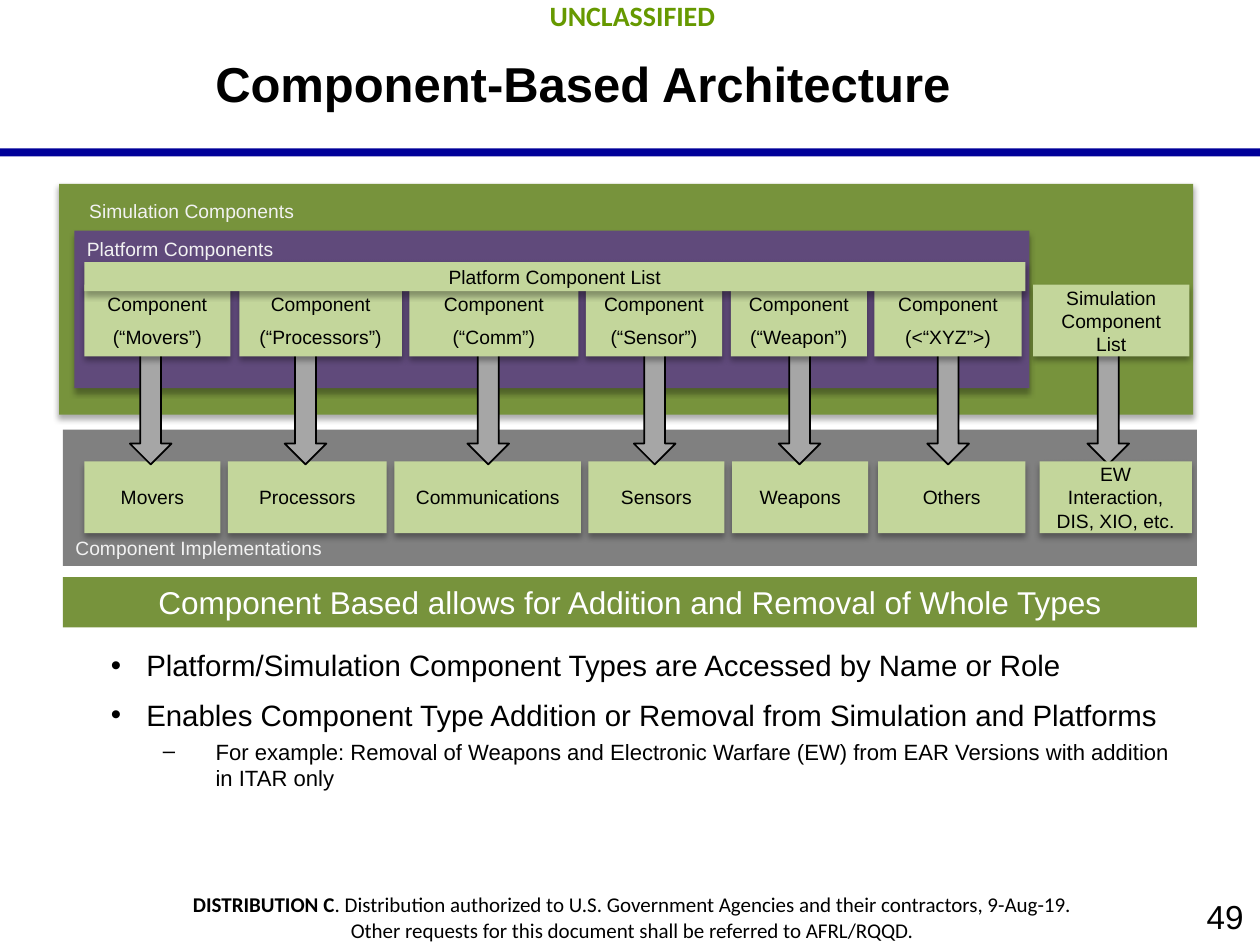
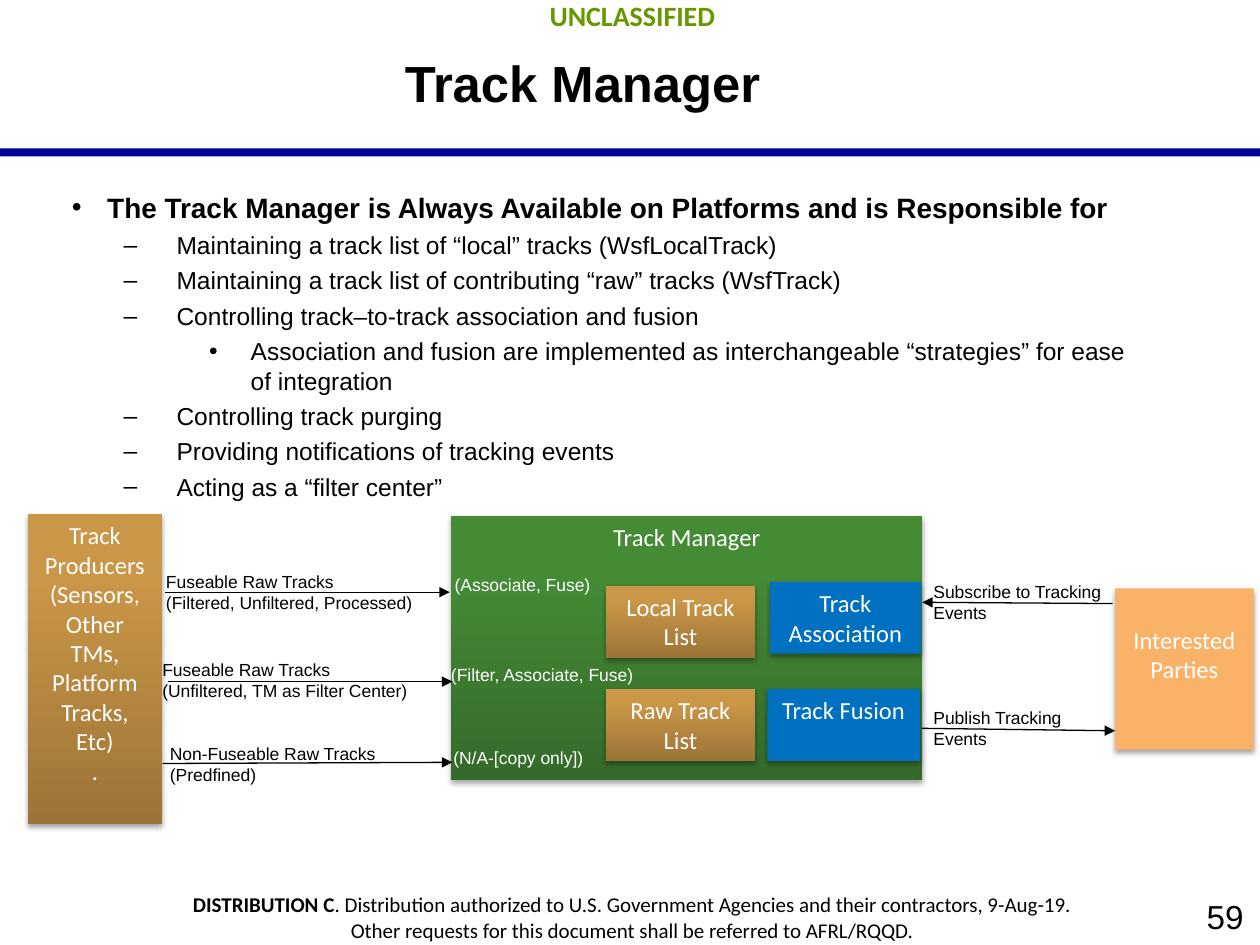
import pptx
import pptx.dml.color
import pptx.enum.dml
import pptx.enum.shapes
import pptx.enum.text
import pptx.oxml
import pptx.oxml.ns
import pptx.util

Pt = pptx.util.Pt
RGB = pptx.dml.color.RGBColor
KIND = pptx.enum.shapes.MSO_SHAPE
ALIGN = pptx.enum.text.PP_ALIGN
ANCHOR = pptx.enum.text.MSO_ANCHOR

BLACK = RGB(0, 0, 0)
WHITE = RGB(255, 255, 255)
PALE = RGB(0xF2, 0xF2, 0xF2)
NAVY = RGB(0, 0, 0x99)
MARK = RGB(0x66, 0x99, 0)
GRAY = RGB(0x80, 0x80, 0x80)
SILVER = RGB(0xA6, 0xA6, 0xA6)
OLIVE = RGB(0x77, 0x93, 0x3C)
LIME = RGB(0xC3, 0xD6, 0x9B)
PURPLE = RGB(0x60, 0x4A, 0x7B)
BLUE = RGB(0, 0x70, 0xC0)
PEACH = RGB(0xF9, 0xB2, 0x68)
GREEN = (RGB(0x35, 0x6B, 0x2A), RGB(0x45, 0x8B, 0x36))
BROWN = (RGB(0x9C, 0x74, 0x37), RGB(0xCA, 0x96, 0x47))

SANS = "Arial"
HUMAN = "Calibri"
WIDE = (9.4, 5, 9.4, 5)
SNUG = (7.2, 3.6, 7.2, 3.6)
SOFT = (32, 3.5, 2.2)
FIRM = (35, 3.1, 1.8)
LEVELS = (("•", 38.2, -20.2, 8), ("–", 77.8, -30.2, 3.4), ("•", 120.2, -23.8, 3.4))
TILE = {"size": 11, "tint": BLACK, "gap": 5.5}
HEAD = {"size": 11, "tint": PALE}
NOTE = {"size": 10, "tint": BLACK, "wrap": False}
CALL = {**NOTE, "wrap": True}
INNER = {**NOTE, "tint": WHITE}
BLOCK = {"size": 14, "tint": WHITE, "face": HUMAN, "anchor": ANCHOR.TOP}


def put(item, **values):
    for name, value in values.items():
        setattr(item, name, value)


def node(parent, xml):
    mark = xml.split(" ", 1)
    space = pptx.oxml.ns.nsdecls("a")
    parent.append(pptx.oxml.parse_xml(f"{mark[0]} {space} {mark[1]}"))


class Deck:
    def __init__(self):
        self.show = pptx.Presentation()
        put(self.show, slide_width=Pt(720), slide_height=Pt(540))
        self.slide = None

    def page(self, title, size, number):
        self.slide = self.show.slides.add_slide(self.show.slide_layouts[6])
        self.shape((0, 84.8, 720, 4.6), NAVY)
        center = {"align": ALIGN.CENTER, "pads": WIDE}
        self.text((576, 507.6, 144, 32.4), [number], size=19,
                  align=ALIGN.RIGHT, anchor=ANCHOR.MIDDLE, pads=WIDE)
        self.text((1.4, -5.8, 720, 28.8), ["UNCLASSIFIED"], size=16,
                  tint=MARK, face=HUMAN, bold=True, **center)
        self.text((0.7, 504.7, 721.4, 38.9), [
            (("DISTRIBUTION C", True),
             (". Distribution authorized to U.S. Government Agencies "
              "and their contractors, 9-Aug-19.", False)),
            "Other requests for this document shall be referred to AFRL/RQQD.",
        ], size=12, face=HUMAN, **center)
        self.text((72, 2.2, 522, 90), [title], size=size, bold=True,
                  anchor=ANCHOR.MIDDLE, **center)

    def pour(self, frame, lines, size, tint=BLACK, face=SANS, bold=False,
             align=ALIGN.LEFT, anchor=ANCHOR.TOP, gap=0, pads=SNUG, wrap=True):
        left, top, right, bottom = map(Pt, pads)
        put(frame, word_wrap=wrap, vertical_anchor=anchor, margin_left=left,
            margin_top=top, margin_right=right, margin_bottom=bottom)
        for rank, line in enumerate(lines):
            para = frame.add_paragraph() if rank else frame.paragraphs[0]
            put(para, alignment=align, space_before=Pt(gap if rank else 0))
            parts = ((line, bold),) if isinstance(line, str) else line
            for words, heavy in parts:
                run = para.add_run()
                run.text = words
                put(run.font, size=Pt(size), name=face, bold=heavy)
                run.font.color.rgb = tint

    def text(self, box, lines, **style):
        frame = self.slide.shapes.add_textbox(*map(Pt, box)).text_frame
        self.pour(frame, lines, **style)

    def shape(self, box, fill, lines=(), kind=KIND.RECTANGLE, shade=None,
              edge=None, **style):
        item = self.slide.shapes.add_shape(kind, *map(Pt, box))
        item.shadow.inherit = False
        if isinstance(fill, tuple) and not isinstance(fill, RGB):
            item.fill.gradient()
            item.fill.gradient_angle = 90
            for stop, tint, place in zip(item.fill.gradient_stops, fill, (0, 0.8)):
                stop.color.rgb = tint
                stop.position = place
        else:
            item.fill.solid()
            item.fill.fore_color.rgb = fill
        if edge is None:
            item.line.fill.background()
        else:
            item.line.color.rgb = edge
            item.line.width = Pt(1)
        if shade:
            alpha, blur, reach = shade
            effects = item._element.spPr.find(pptx.oxml.ns.qn("a:effectLst"))
            node(effects, f'<a:outerShdw blurRad="{Pt(blur)}" dist="{Pt(reach)}" '
                 f'dir="5400000" rotWithShape="0"><a:srgbClr val="{BLACK}">'
                 f'<a:alpha val="{alpha * 1000}"/></a:srgbClr></a:outerShdw>')
        if lines:
            style = {"align": ALIGN.CENTER, "anchor": ANCHOR.MIDDLE, **style}
            self.pour(item.text_frame, lines, **style)

    def list(self, box, items, sizes, lead=None):
        frame = self.slide.shapes.add_textbox(*map(Pt, box)).text_frame
        self.pour(frame, [words for _, words in items], sizes[0], pads=WIDE)
        for rank, (para, (level, _)) in enumerate(zip(frame.paragraphs, items)):
            sign, left, hang, gap = LEVELS[level]
            props = para._p.get_or_add_pPr()
            props.set("marL", str(Pt(left)))
            props.set("indent", str(Pt(hang)))
            node(props, f'<a:buFont typeface="{SANS}"/>')
            node(props, f'<a:buChar char="{sign}"/>')
            put(para, level=level, space_before=Pt(gap if rank else 0))
            put(para.runs[0].font, size=Pt(sizes[min(level, 1)]))
        if lead:
            frame.paragraphs[0].line_spacing = lead
            frame.paragraphs[0].runs[0].font.bold = True

    def arrow(self, *ends):
        line = self.slide.shapes.add_connector(
            pptx.enum.shapes.MSO_CONNECTOR.STRAIGHT, *map(Pt, ends))
        line.line.color.rgb = BLACK
        line.line.width = Pt(0.75)
        node(line.line._get_or_add_ln(), '<a:tailEnd type="triangle"/>')
        node(line._element.spPr, "<a:effectLst />")


def parts_page(deck):
    deck.page("Component-Based Architecture", 28, "49")
    deck.list((36, 365, 648, 117.4), [
        (0, "Platform/Simulation Component Types are Accessed by Name or Role"),
        (0, "Enables Component Type Addition or Removal from Simulation and Platforms"),
        (1, "For example: Removal of Weapons and Electronic Warfare (EW) "
            "from EAR Versions with addition in ITAR only"),
    ], (16.8, 12.6))
    deck.shape((36, 245.5, 648, 77.8), GRAY)
    deck.shape((33.8, 105.1, 648, 131.8), OLIVE, shade=SOFT)
    deck.shape((42.5, 131.8, 545.8, 90), PURPLE, shade=SOFT)
    deck.text((43.9, 110.2, 149.8, 20.9), ["Simulation Components"], **HEAD)
    deck.text((42.5, 131.8, 149.8, 20.9), ["Platform Components"], **HEAD)
    deck.text((36, 303.1, 180, 20.9), ["Component Implementations"], **HEAD)
    deck.shape((36, 329.8, 648, 28.8), OLIVE,
               ["Component Based allows for Addition and Removal of Whole Types"],
               size=18, tint=WHITE)

    lower = (("Movers", 48.2, 77.8), ("Processors", 130.3, 90.7),
             ("Communications", 225.4, 106.6), ("Sensors", 336.2, 77.8),
             ("Weapons", 418.3, 77.8), ("Others", 501.8, 84.2))
    upper = (("“Movers”", 48.2, 83.5), ("“Processors”", 136.8, 92.9),
             ("“Comm”", 234, 96.5), ("“Sensor”", 334.8, 77.8),
             ("“Weapon”", 417.6, 77.8), ("<“XYZ”>", 499.7, 84.2))
    for name, left, width in lower:
        deck.shape((left, 263.7, width, 41), LIME, [name], shade=SOFT, **TILE)
    for left in (74.2, 162.7, 267.1, 362.2, 445, 529.9, 621.4):
        deck.shape((left, 199.2, 23.8, 66.2), SILVER, kind=KIND.DOWN_ARROW, edge=BLACK)
    for name, left, width in upper:
        deck.shape((left, 162.7, width, 41), LIME, ["Component", f"({name})"],
                   shade=SOFT, **TILE)
    for name, box in (
            ("Platform Component List", (48.2, 149.8, 537.8, 16.6)),
            ("Simulation Component List", (590.4, 162.7, 89.3, 41)),
            ("EW Interaction, DIS, XIO, etc.", (594, 263.7, 87.1, 41))):
        deck.shape(box, LIME, [name], shade=SOFT, **TILE)


def track_page(deck):
    deck.page("Track Manager", 29, "59")
    deck.shape((257.8, 294.8, 269.3, 151.2), GREEN, ["Track Manager"],
               shade=FIRM, **BLOCK)
    deck.list((13.7, 100.1, 648, 356.4), [
        (0, "The Track Manager is Always Available on Platforms and is Responsible for"),
        (1, "Maintaining a track list of “local” tracks (WsfLocalTrack)"),
        (1, "Maintaining a track list of contributing “raw” tracks (WsfTrack)"),
        (1, "Controlling track–to-track association and fusion"),
        (2, "Association and fusion are implemented as interchangeable "
            "“strategies” for ease of integration"),
        (1, "Controlling track purging"),
        (1, "Providing notifications of tracking events"),
        (1, "Acting as a “filter center”"),
    ], (16, 14), lead=1.2)

    for ends in ((94.3, 338.4, 257, 338.4), (92.9, 436.3, 258.5, 435.6),
                 (95.8, 389.5, 258.5, 389.5), (527, 416.2, 637.2, 417.6),
                 (635.8, 344.9, 527, 344.2)):
        deck.arrow(*ends)
    for box, lines, look in (
            ((87.8, 322.6, 156.2, 31.7),
             ["Fuseable Raw Tracks", "(Filtered, Unfiltered, Processed)"], NOTE),
            ((85.7, 373, 156.2, 31.7),
             ["Fuseable Raw Tracks", "(Unfiltered, TM as Filter Center)"], NOTE),
            ((90, 421.2, 133.9, 31.7),
             ["Non-Fuseable Raw Tracks", "(Predfined)"], NOTE),
            ((252.7, 324.7, 92.9, 19.4), ["(Associate, Fuse)"], INNER),
            ((250.6, 375.8, 121, 19.4), ["(Filter, Associate, Fuse)"], INNER),
            ((252, 423.4, 89.3, 19.4), ["(N/A-[copy only])"], INNER),
            ((526.3, 400.3, 109.4, 31.7), ["Publish Tracking Events"], CALL),
            ((526.3, 328.3, 110.9, 31.7), ["Subscribe to Tracking", "Events"], CALL)):
        deck.text(box, lines, **look)

    for box, fill, lines in (
            ((15.8, 293.8, 77, 177.1), BROWN,
             ["Track", "Producers", "(Sensors,", "Other TMs,", "Platform",
              "Tracks,", "Etc)", "."]),
            ((346.3, 334.8, 85, 41), BROWN, ["Local Track List"]),
            ((346.3, 393.8, 85, 41), BROWN, ["Raw Track List"]),
            ((438.5, 393.8, 87.1, 41), BLUE, ["Track Fusion"]),
            ((439.9, 332.6, 86.4, 41), BLUE, ["Track Association"])):
        deck.shape(box, fill, lines, shade=FIRM, **BLOCK)
    deck.shape((637.2, 336.2, 79.2, 92.2), PEACH, ["Interested", "Parties"],
               shade=FIRM, pads=(7.2, 20.7, 7.2, 3.6), **BLOCK)


def main():
    deck = Deck()
    parts_page(deck)
    track_page(deck)
    deck.show.save("out.pptx")


if __name__ == "__main__":
    main()
